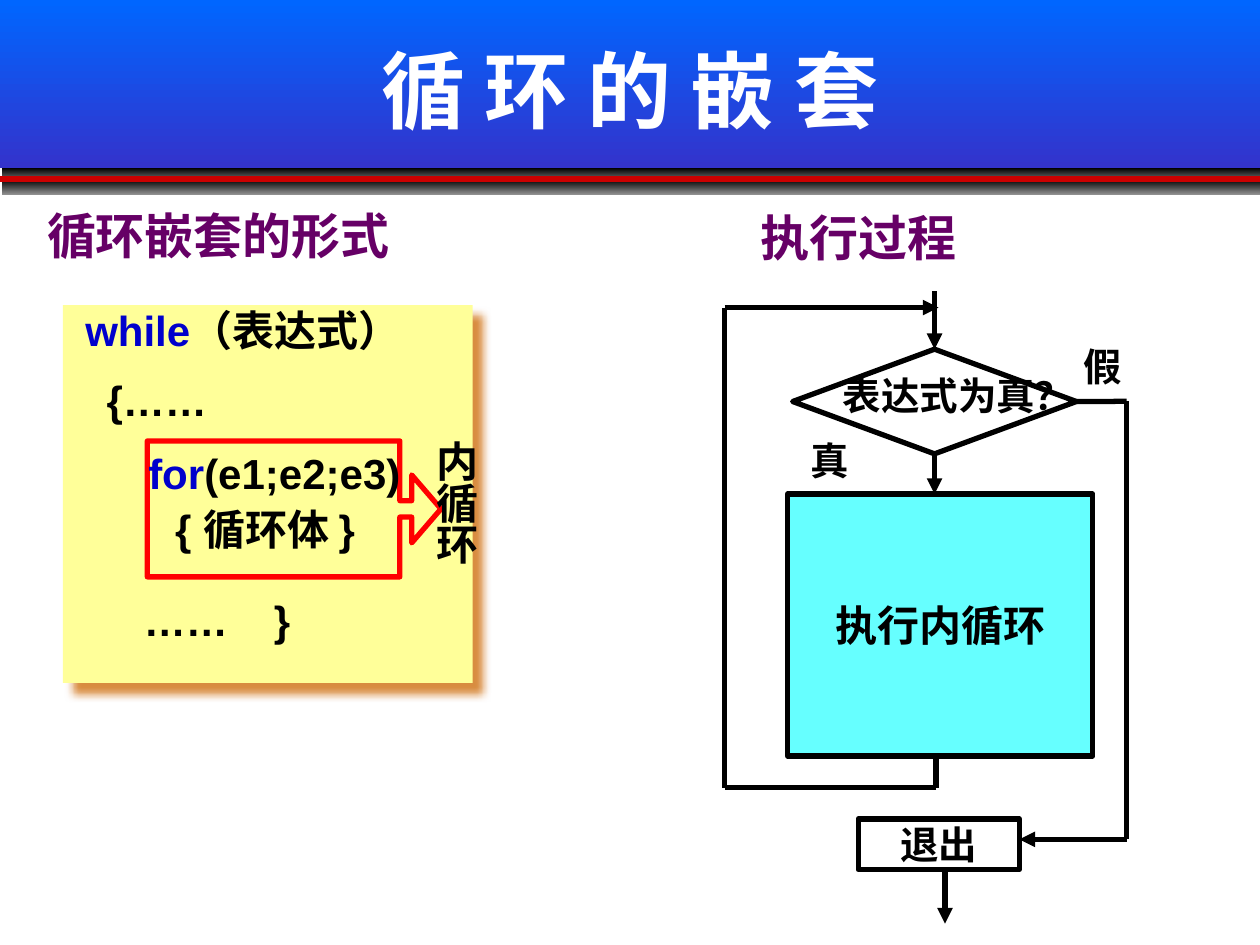
"""Build the slide on nested loops: code form on the left, flowchart on the right."""
from lxml import etree
from pptx import Presentation
from pptx.dml.color import RGBColor
from pptx.enum import shapes, text
from pptx.oxml import ns
from pptx.util import Cm, Pt

COLORS = {
    "black": "000000", "white": "FFFFFF", "grey": "929292", "rule": "CC0000",
    "sky": "0066FF", "indigo": "3333CC", "purple": "660066", "keyword": "0000CC",
    "note": "FFFF99", "note_shadow": "CC6600", "frame": "FF0000", "process": "66FFFF",
}
CJK = "Noto Sans CJK SC"
SERIF = "Times New Roman"
CENTER = text.PP_ALIGN.CENTER

presentation = Presentation()
presentation.slide_width, presentation.slide_height = Cm(25.4), Cm(19.05)
slide = presentation.slides.add_slide(presentation.slide_layouts[6])


def add_box(kind, box, fill=None, line=None):
    """Add a preset shape with a solid, gradient or empty fill."""
    shape = slide.shapes.add_shape(kind, *map(Cm, box))
    shape.shadow.inherit = False
    if isinstance(fill, tuple):
        shape.fill.gradient()
        shape.fill.gradient_angle = 270
        for stop, name in zip(shape.fill.gradient_stops, fill):
            stop.color.rgb = RGBColor.from_string(COLORS[name])
    elif fill:
        shape.fill.solid()
        shape.fill.fore_color.rgb = RGBColor.from_string(COLORS[fill])
    else:
        shape.fill.background()
    if line:
        shape.line.color.rgb = RGBColor.from_string(COLORS[line])
        shape.line.width = Pt(3)
    else:
        shape.line.fill.background()
    return shape


def write(shape, runs, size, font="Arial", align=None, middle=False, wrap=True):
    """Write coloured bold runs into one paragraph of a shape."""
    frame = shape.text_frame
    frame.word_wrap = wrap
    frame.vertical_anchor = text.MSO_ANCHOR.MIDDLE if middle else text.MSO_ANCHOR.TOP
    paragraph = frame.paragraphs[0]
    paragraph.alignment = align
    for words, color in runs:
        run = paragraph.add_run()
        run.text = words
        run.font.size, run.font.bold, run.font.name = Pt(size), True, font
        run.font.color.rgb = RGBColor.from_string(COLORS[color])
        if "…" not in words:
            etree.SubElement(run.font._element, ns.qn("a:ea"), typeface=CJK)
    return paragraph


RECTANGLE = shapes.MSO_SHAPE.RECTANGLE
add_box(RECTANGLE, (0, 0, 25.4, 3.39), ("sky", "indigo"))
for top in (3.39, 3.62):
    add_box(RECTANGLE, (0.04, top, 25.36, 0.31), ("black", "grey"))

note = add_box(RECTANGLE, (1.27, 6.15, 8.26, 7.62), "note")
effects = note._element.spPr.find(ns.qn("a:effectLst"))
shadow = etree.SubElement(effects, ns.qn("a:outerShdw"), blurRad=str(Pt(5)),
                          dist=str(Pt(8.5)), dir="2700000", algn="ctr", rotWithShape="0")
shadow_color = etree.SubElement(shadow, ns.qn("a:srgbClr"), val=COLORS["note_shadow"])
etree.SubElement(shadow_color, ns.qn("a:alpha"), val="75000")

inner_loop = add_box(shapes.MSO_SHAPE.RIGHT_ARROW_CALLOUT, (2.97, 8.89, 5.92, 2.74), line="frame")
for index, value in enumerate((0.12, 0.25, 0.215, 0.86)):
    inner_loop.adjustments[index] = value

decision = add_box(shapes.MSO_SHAPE.FLOWCHART_DECISION, (15.98, 7.04, 5.72, 2.11), line="black")
process = add_box(RECTANGLE, (15.88, 9.96, 6.15, 5.28), "process", "black")
exit_box = add_box(RECTANGLE, (17.3, 16.51, 3.25, 1.02), line="black")
for shape, words, size, font in ((process, "执行内循环", 24, CJK), (exit_box, "退出", 22, SERIF)):
    frame = shape.text_frame
    frame.margin_left = frame.margin_right = frame.margin_top = frame.margin_bottom = 0
    write(shape, [(words, "black")], size, font, CENTER, True, False)

text_boxes = [
    ((1.9, 0.2, 21.6, 3.18), [("循 环 的 嵌 套", "white")], 48, "Arial", CENTER, True),
    ((0.7, 4.01, 8.05, 1.45), [("循环嵌套的形式", "purple")], 28, "Arial", None, True),
    ((15.08, 4.06, 6.55, 1.45), [("执行过程", "purple")], 28, "Arial", None, True),
    ((1.47, 6.02, 8.03, 1.27), [("while", "keyword"), ("（表达式）", "black")], 24),
    ((1.9, 7.42, 7.42, 1.27), [("{……", "black")], 24),
    ((2.74, 8.89, 7.42, 1.27), [("for", "keyword"), ("(e1;e2;e3)", "black")], 24),
    ((3.28, 10.03, 6, 1.27), [("{ 循环体 }", "black")], 24),
    ((16.74, 7.37, 5.54, 1.19), [("表达式为真？", "black")], 22, CJK),
    ((21.59, 6.78, 1.3, 1.19), [("假", "black")], 22, SERIF, CENTER, True, False),
    ((16.08, 8.69, 1.3, 1.19), [("真", "black")], 22, SERIF, CENTER, True, False),
]
for box, *content in text_boxes:
    write(slide.shapes.add_textbox(*map(Cm, box)), *content)

inner_label = slide.shapes.add_textbox(Cm(8.56), Cm(8.84), Cm(1.27), Cm(3.33))
write(inner_label, [("内循环", "black")], 24, CJK).line_spacing = 0.82

closing = slide.shapes.add_textbox(Cm(2.65), Cm(11.86), Cm(5.8), Cm(1.27))
paragraph = closing.text_frame.paragraphs[0]
tabs = etree.SubElement(paragraph._p.get_or_add_pPr(), ns.qn("a:tabLst"))
etree.SubElement(tabs, ns.qn("a:tab"), pos=str(Cm(2.62)), algn="l")
write(closing, [("……\t}", "black")], 24)

lines = [
    ((0, 3.61, 25.4, 3.61), "rule", False, None, None),
    ((18.84, 5.87, 18.84, 7.04), "black", True, None, (decision, 0)),
    ((18.84, 9.15, 18.84, 9.96), "black", True, (decision, 2), None),
    ((21.7, 8.09, 22.71, 8.09), "black", False, (decision, 3), None),
    ((22.71, 8.09, 22.71, 16.92), "black", False, None, None),
    ((22.71, 16.92, 20.55, 16.92), "black", True, None, None),
    ((18.87, 15.24, 18.87, 15.88), "black", False, None, None),
    ((18.87, 15.88, 14.61, 15.88), "black", False, None, None),
    ((14.61, 15.88, 14.61, 6.2), "black", False, None, None),
    ((14.61, 6.2, 18.92, 6.2), "black", True, None, None),
    ((19.05, 17.53, 19.05, 18.62), "black", True, None, None),
]
for points, color, arrow, start, end in lines:
    connector = slide.shapes.add_connector(shapes.MSO_CONNECTOR.STRAIGHT, *map(Cm, points))
    connector.line.color.rgb = RGBColor.from_string(COLORS[color])
    connector.line.width = Pt(3)
    if start:
        connector.begin_connect(*start)
    if end:
        connector.end_connect(*end)
    if arrow:
        etree.SubElement(connector.line._get_or_add_ln(), ns.qn("a:tailEnd"), type="triangle")
    etree.SubElement(connector._element.spPr, ns.qn("a:effectLst"))

presentation.save("out.pptx")
